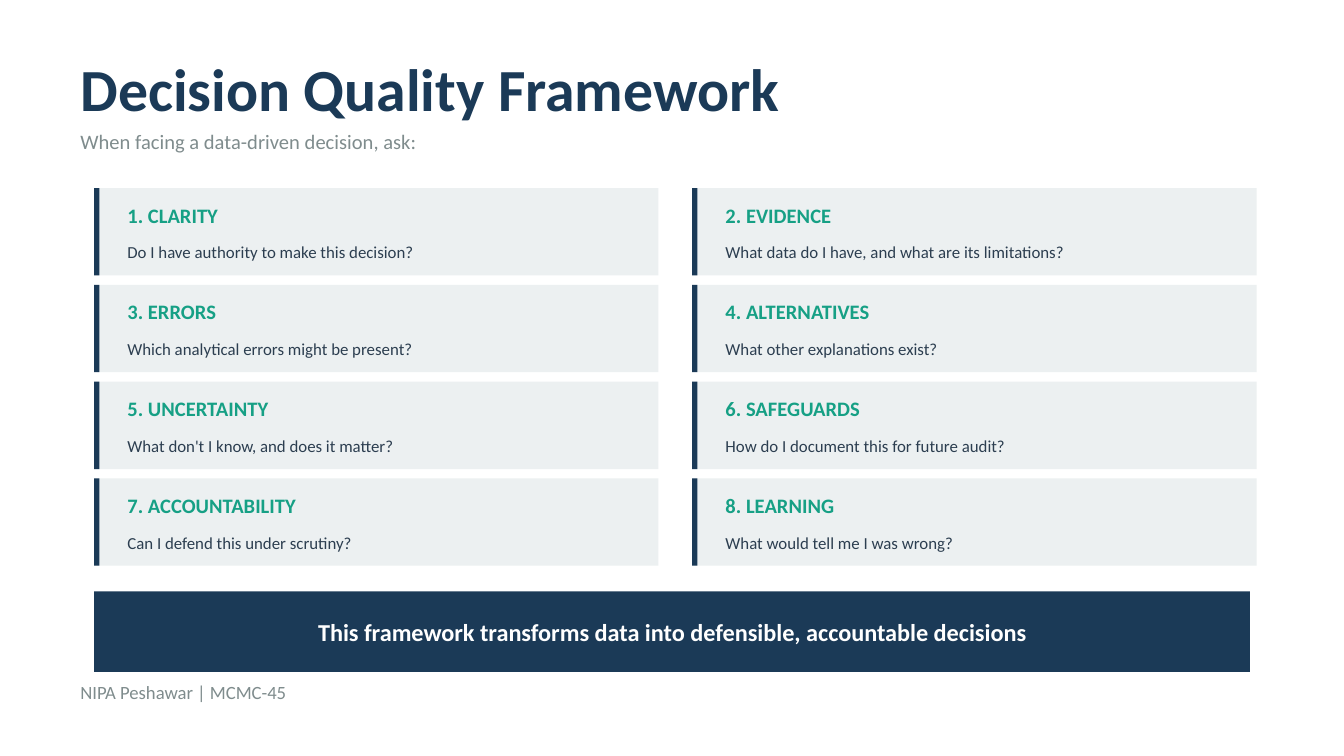
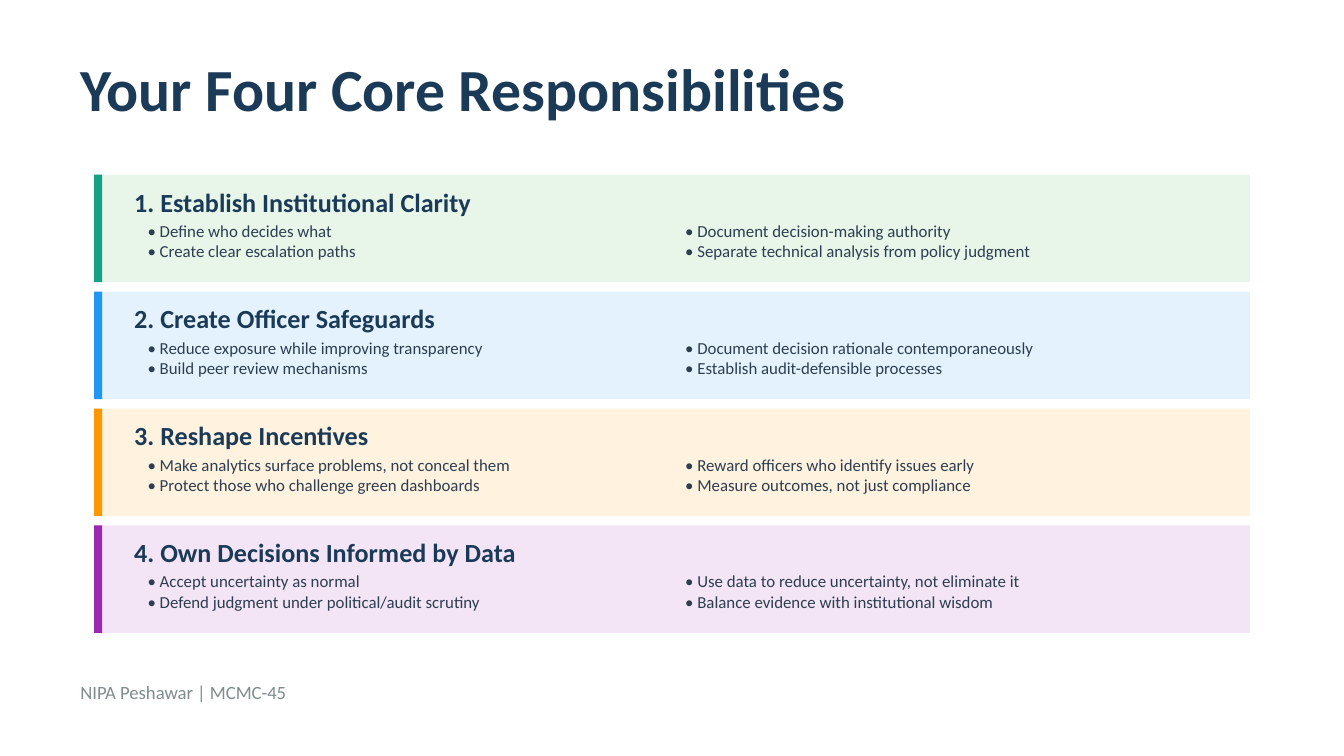
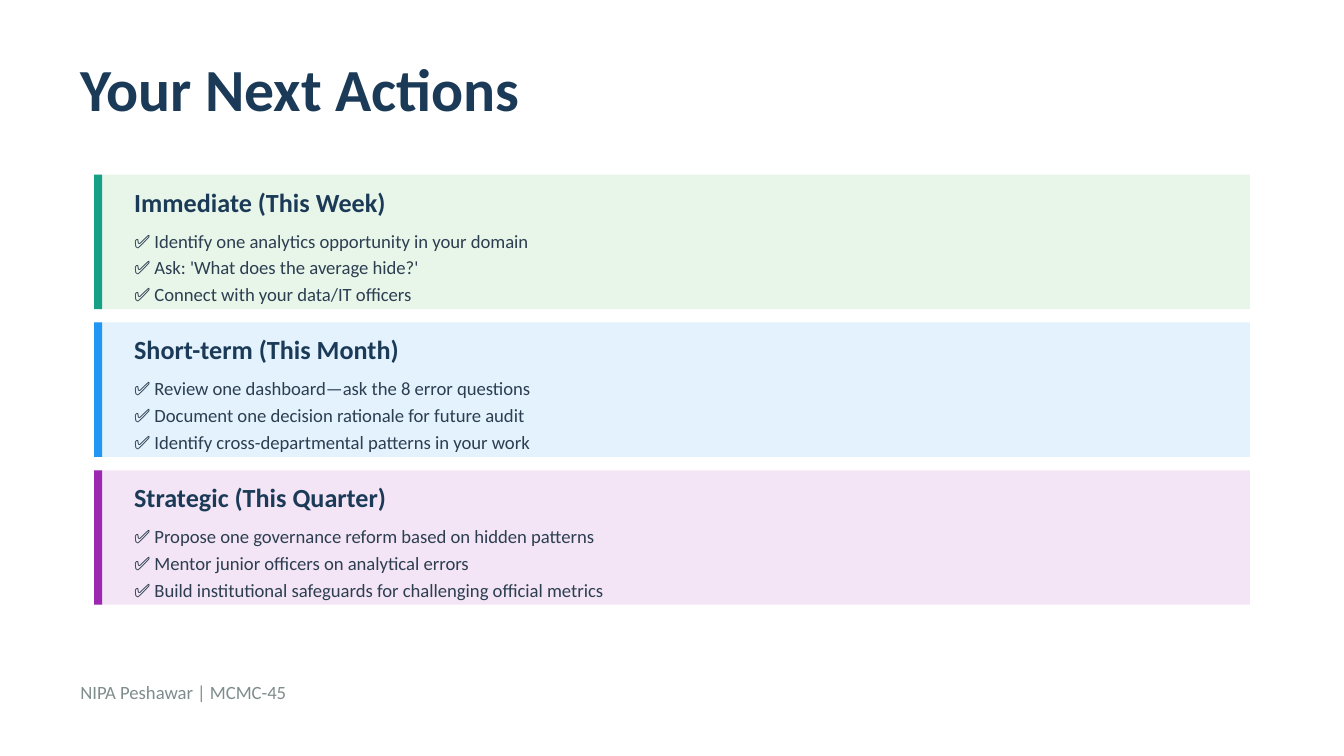
from dataclasses import dataclass

from pptx import Presentation
from pptx import util as u
from pptx.dml import color
from pptx.enum import shapes, text


@dataclass(frozen=True)
class Theme:
    font: str = "Calibri"
    # Colours
    white: str = "FFFFFF"
    navy: str = "1B3A57"
    teal: str = "16A085"
    ink: str = "2C3E50"
    grey: str = "7F8C8D"
    card: str = "ECF0F1"
    # Pairs of band fill and accent
    green: tuple = ("E8F5E9", "16A085")
    blue: tuple = ("E3F2FD", "2196F3")
    orange: tuple = ("FFF3E0", "FF9800")
    purple: tuple = ("F3E5F5", "9C27B0")
    # Type sizes
    title: int = 32
    heading: int = 14
    banner: int = 13
    label: int = 11
    body: int = 10
    small: int = 9


class Deck:
    """Holds the theme and the slide being built."""

    def __init__(self, theme):
        self.t = theme
        self.prs = Presentation()
        self.prs.slide_width = u.Inches(10)
        self.prs.slide_height = u.Inches(5.625)
        self.s = None

    def slide(self, title):
        self.s = self.prs.slides.add_slide(self.prs.slide_layouts[6])
        fill = self.s.background.fill
        fill.solid()
        fill.fore_color.rgb = color.RGBColor.from_string(self.t.white)
        self.text(title, 0.5, 0.4, 9, 0.5, self.t.title, self.t.navy, bold=True)

    def footer(self):
        self.text("NIPA Peshawar | MCMC-45", 0.5, 5, 9, 0.3, self.t.body, self.t.grey)

    def text(self, words, x, y, w, h, size, rgb, bold=False, align=None):
        sp = self.s.shapes.add_textbox(*map(u.Inches, (x, y, w, h)))
        tf = sp.text_frame
        tf.word_wrap = True
        tf.vertical_anchor = text.MSO_ANCHOR.MIDDLE
        p = tf.paragraphs[0]
        p.alignment = align
        r = p.add_run()
        r.text = words
        r.font.name = self.t.font
        r.font.size = u.Pt(size)
        r.font.bold = bold
        r.font.color.rgb = color.RGBColor.from_string(rgb)

    def rect(self, x, y, w, h, rgb):
        sp = self.s.shapes.add_shape(
            shapes.MSO_SHAPE.RECTANGLE, *map(u.Inches, (x, y, w, h)))
        sp.shadow.inherit = False
        sp.fill.solid()
        sp.fill.fore_color.rgb = color.RGBColor.from_string(rgb)
        sp.line.fill.background()

    def panel(self, x, y, w, h, fill, accent, accent_w):
        self.rect(x, y, w, h, fill)
        self.rect(x, y, accent_w, h, accent)

    def card(self, x, y, label, question):
        self.panel(x, y, 4.2, 0.65, self.t.card, self.t.navy, 0.04)
        self.text(label, x + 0.15, y + 0.1, 3.9, 0.2, self.t.label, self.t.teal, bold=True)
        self.text(question, x + 0.15, y + 0.35, 3.9, 0.25, self.t.small, self.t.ink)

    def band(self, y, h, heading, colours):
        self.panel(0.7, y, 8.6, h, *colours, 0.06)
        self.text(heading, 0.9, y + 0.1, 8.2, 0.2, self.t.heading, self.t.navy, bold=True)


def framework(d):
    t = d.t
    d.slide("Decision Quality Framework")
    d.text("When facing a data-driven decision, ask:", 0.5, 0.95, 9, 0.2, t.label, t.grey)

    # Two columns of question cards
    questions = [
        ("CLARITY", "Do I have authority to make this decision?"),
        ("EVIDENCE", "What data do I have, and what are its limitations?"),
        ("ERRORS", "Which analytical errors might be present?"),
        ("ALTERNATIVES", "What other explanations exist?"),
        ("UNCERTAINTY", "What don't I know, and does it matter?"),
        ("SAFEGUARDS", "How do I document this for future audit?"),
        ("ACCOUNTABILITY", "Can I defend this under scrutiny?"),
        ("LEARNING", "What would tell me I was wrong?"),
    ]
    for i, (name, question) in enumerate(questions):
        row, col = divmod(i, 2)
        d.card(0.7 + 4.45 * col, 1.4 + 0.72 * row, f"{i + 1}. {name}", question)

    # Closing banner
    d.rect(0.7, 4.4, 8.6, 0.6, t.navy)
    d.text("This framework transforms data into defensible, accountable decisions",
           0.9, 4.55, 8.2, 0.3, t.banner, t.white, bold=True, align=text.PP_ALIGN.CENTER)
    d.footer()


def responsibilities(d):
    t = d.t
    d.slide("Your Four Core Responsibilities")

    # Bands with duties in two columns, read row by row
    duties = [
        ("Establish Institutional Clarity", t.green, [
            "Define who decides what",
            "Document decision-making authority",
            "Create clear escalation paths",
            "Separate technical analysis from policy judgment"]),
        ("Create Officer Safeguards", t.blue, [
            "Reduce exposure while improving transparency",
            "Document decision rationale contemporaneously",
            "Build peer review mechanisms",
            "Establish audit-defensible processes"]),
        ("Reshape Incentives", t.orange, [
            "Make analytics surface problems, not conceal them",
            "Reward officers who identify issues early",
            "Protect those who challenge green dashboards",
            "Measure outcomes, not just compliance"]),
        ("Own Decisions Informed by Data", t.purple, [
            "Accept uncertainty as normal",
            "Use data to reduce uncertainty, not eliminate it",
            "Defend judgment under political/audit scrutiny",
            "Balance evidence with institutional wisdom"]),
    ]
    for i, (heading, colours, points) in enumerate(duties):
        y = 1.3 + 0.87 * i
        d.band(y, 0.8, f"{i + 1}. {heading}", colours)
        for j, point in enumerate(points):
            row, col = divmod(j, 2)
            d.text(f"• {point}", 1 + 4 * col, y + 0.35 + 0.15 * row, 3.8, 0.13,
                   t.small, t.ink)
    d.footer()


def next_actions(d):
    t = d.t
    d.slide("Your Next Actions")

    # One band per time horizon
    horizons = [
        ("Immediate (This Week)", t.green, [
            "Identify one analytics opportunity in your domain",
            "Ask: 'What does the average hide?'",
            "Connect with your data/IT officers"]),
        ("Short-term (This Month)", t.blue, [
            "Review one dashboard—ask the 8 error questions",
            "Document one decision rationale for future audit",
            "Identify cross-departmental patterns in your work"]),
        ("Strategic (This Quarter)", t.purple, [
            "Propose one governance reform based on hidden patterns",
            "Mentor junior officers on analytical errors",
            "Build institutional safeguards for challenging official metrics"]),
    ]
    for i, (heading, colours, actions) in enumerate(horizons):
        y = 1.3 + 1.1 * i
        d.band(y, 1, heading, colours)
        for j, action in enumerate(actions):
            d.text(f"✅ {action}", 0.9, y + 0.4 + 0.2 * j, 8.2, 0.18, t.body, t.ink)
    d.footer()


def main():
    d = Deck(Theme())
    framework(d)
    responsibilities(d)
    next_actions(d)
    d.prs.save("out.pptx")


if __name__ == "__main__":
    main()
